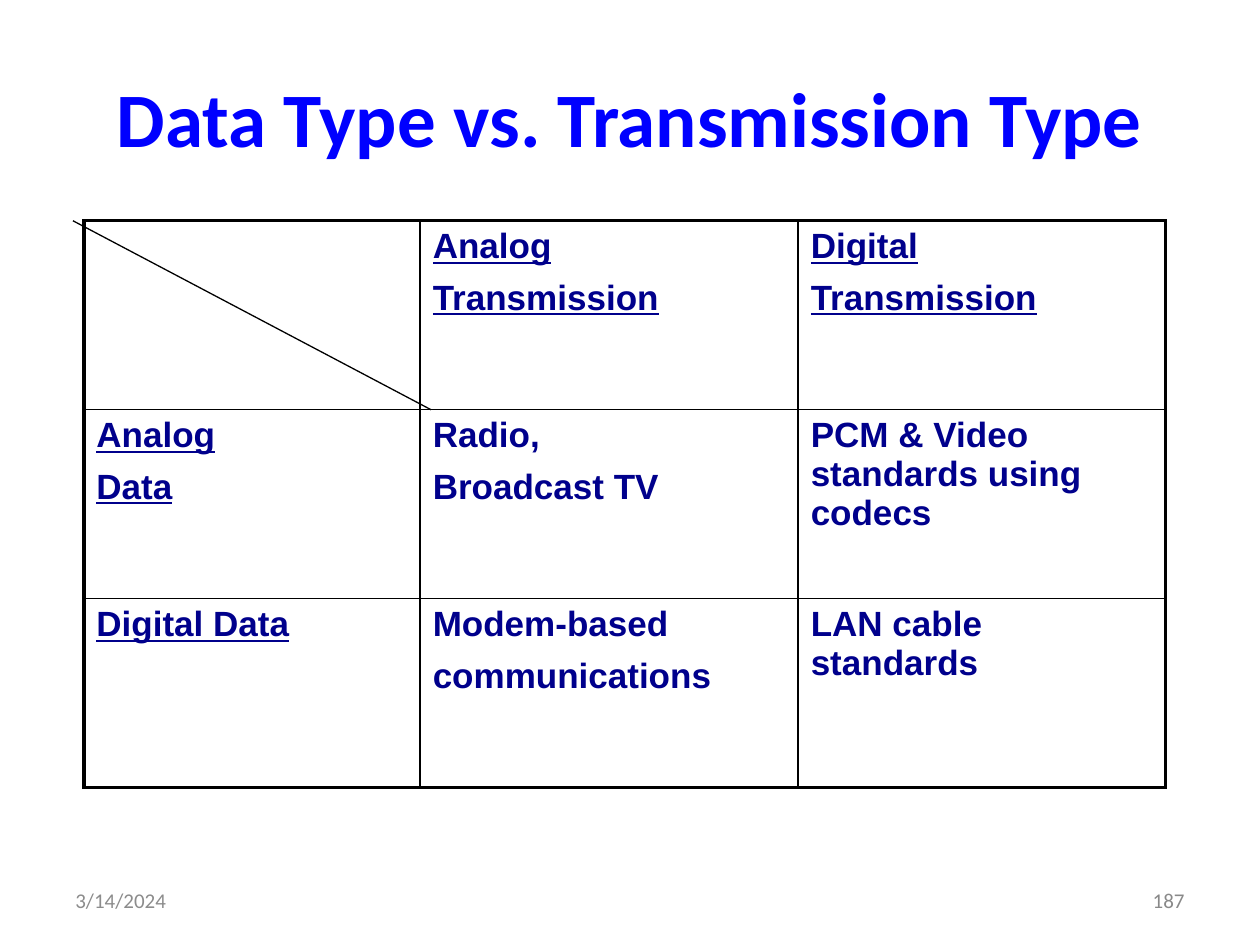
from lxml.etree import SubElement
from pptx import Presentation
from pptx.dml.color import RGBColor
from pptx.enum.shapes import MSO_CONNECTOR
from pptx.enum.text import MSO_ANCHOR, PP_ALIGN
from pptx.oxml import parse_xml
from pptx.oxml.ns import nsdecls, qn
from pptx.util import Cm, Pt

BLACK = RGBColor(0x00, 0x00, 0x00)
TITLE_BLUE = RGBColor(0x00, 0x00, 0xFF)
TABLE_NAVY = RGBColor(0x00, 0x00, 0x8C)
DATE_GRAY = RGBColor(0x8C, 0x8C, 0x8C)
NUMBER_GRAY = RGBColor(0x89, 0x89, 0x89)

THICK, THIN = 2.25, 1
COLUMN_WIDTHS = (6.78, 7.62, 7.41)
ROW_HEIGHT = 3.81
TABLE_LEFT, TABLE_TOP = 1.69, 4.45
CELL_TEXTS = (
    ("", "Analog\nTransmission", "Digital\nTransmission"),
    ("Analog\nData", "Radio,\nBroadcast TV", "PCM & Video standards using codecs"),
    ("Digital Data", "Modem-based\ncommunications", "LAN cable standards"),
)


def format_runs(paragraph, name, size, color, bold=False, underline=False):
    """Apply one font to every run of a paragraph."""
    for run in paragraph.runs:
        font = run.font
        font.name, font.size = name, Pt(size)
        font.bold, font.underline = bold, underline
        font.color.rgb = color


def add_title(slide, text):
    """Fill, place and format the title placeholder."""
    title = slide.shapes.title
    title.left, title.top, title.width, title.height = Cm(1.27), Cm(0.76), Cm(22.86), Cm(3.18)
    title.text_frame.text = text
    title.text_frame.vertical_anchor = MSO_ANCHOR.MIDDLE
    paragraph = title.text_frame.paragraphs[0]
    paragraph.alignment = PP_ALIGN.CENTER
    format_runs(paragraph, "Calibri", 44, TITLE_BLUE, bold=True)


def set_borders(cell, widths):
    """Draw the left, right, top and bottom borders of a cell."""
    properties = cell._tc.get_or_add_tcPr()
    for index, (side, width) in enumerate(zip("LRTB", widths)):
        border = parse_xml(
            f'<a:ln{side} {nsdecls("a")} w="{Pt(width)}"><a:solidFill>'
            f'<a:srgbClr val="{BLACK}"/></a:solidFill></a:ln{side}>'
        )
        properties.insert(index, border)


def fill_cell(cell, text, underline):
    """Write a cell's lines as spaced paragraphs."""
    cell.fill.background()
    cell.text_frame.text = text
    for index, paragraph in enumerate(cell.text_frame.paragraphs):
        paragraph.space_before = Pt(4 if index else 0)
        paragraph.space_after = Pt(3)
        format_runs(paragraph, "Arial", 20, TABLE_NAVY, bold=True, underline=underline)


def add_comparison_table(slide):
    """Add the grid of data types against transmission types."""
    row_count, column_count = len(CELL_TEXTS), len(COLUMN_WIDTHS)
    table = slide.shapes.add_table(
        row_count, column_count, Cm(TABLE_LEFT), Cm(TABLE_TOP),
        Cm(sum(COLUMN_WIDTHS)), Cm(ROW_HEIGHT * row_count),
    ).table
    table.first_row = table.horz_banding = False
    for column, width in zip(table.columns, COLUMN_WIDTHS):
        column.width = Cm(width)
    for i, texts in enumerate(CELL_TEXTS):
        table.rows[i].height = Cm(ROW_HEIGHT)
        for j, text in enumerate(texts):
            cell = table.cell(i, j)
            fill_cell(cell, text, underline=i == 0 or j == 0)
            outer_sides = (j == 0, j == column_count - 1, i == 0, i == row_count - 1)
            set_borders(cell, [THICK if outer else THIN for outer in outer_sides])


def add_diagonal(slide):
    """Cross the empty corner cell with a thin line."""
    line = slide.shapes.add_connector(
        MSO_CONNECTOR.STRAIGHT, Cm(8.69), Cm(TABLE_TOP + ROW_HEIGHT), Cm(1.47), Cm(TABLE_TOP)
    )
    line.line.color.rgb = BLACK
    line.line.width = Pt(0.75)
    SubElement(line._element.spPr, qn("a:effectLst"))


def add_footer(slide, text, left, alignment, color):
    """Add a small text at the foot of the slide."""
    text_frame = slide.shapes.add_textbox(Cm(left), Cm(17.65), Cm(5.93), Cm(1.01)).text_frame
    text_frame.word_wrap = True
    text_frame.vertical_anchor = MSO_ANCHOR.MIDDLE
    text_frame.text = text
    paragraph = text_frame.paragraphs[0]
    paragraph.alignment = alignment
    format_runs(paragraph, "Calibri", 12, color)


def main():
    """Build and save the slide."""
    presentation = Presentation()
    presentation.slide_width, presentation.slide_height = Cm(25.4), Cm(19.05)
    slide = presentation.slides.add_slide(presentation.slide_layouts[5])
    add_title(slide, "Data Type vs. Transmission Type")
    add_comparison_table(slide)
    add_diagonal(slide)
    add_footer(slide, "3/14/2024", 1.27, PP_ALIGN.LEFT, DATE_GRAY)
    add_footer(slide, "187", 18.2, PP_ALIGN.RIGHT, NUMBER_GRAY)
    presentation.save("out.pptx")


if __name__ == "__main__":
    main()
